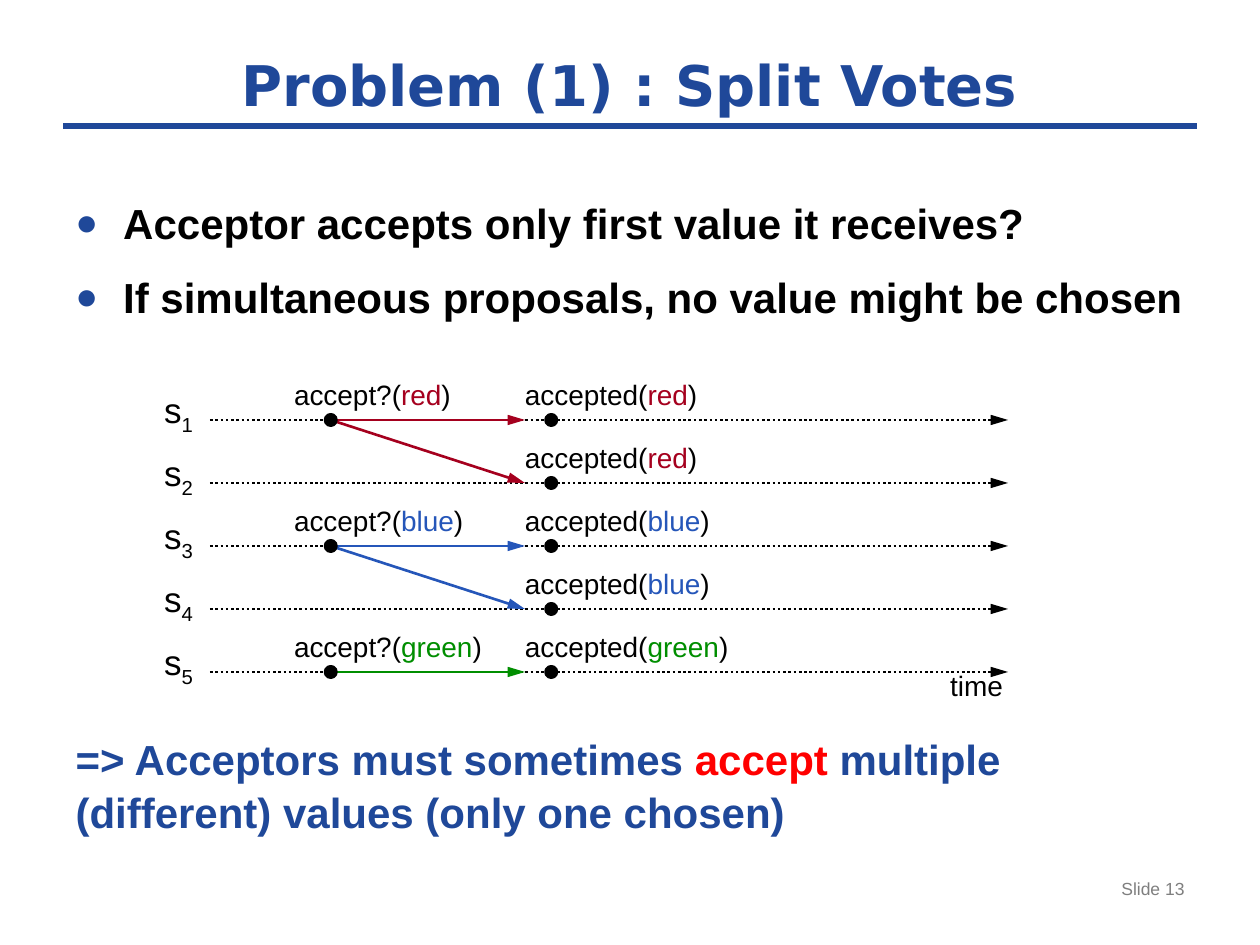
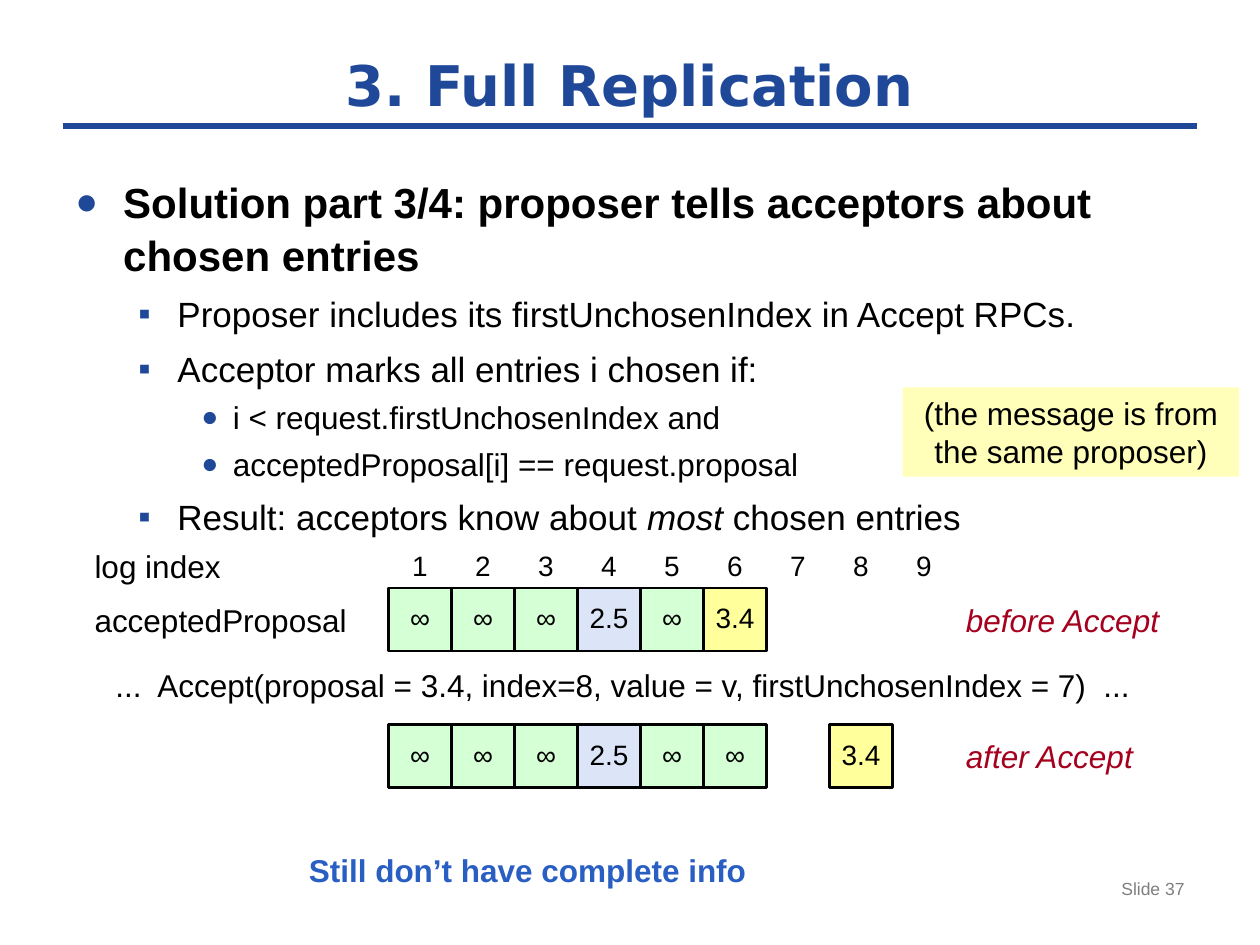
from lxml import etree
from pptx import Presentation
from pptx.dml.color import RGBColor
from pptx.enum.dml import MSO_LINE
from pptx.enum.shapes import MSO_CONNECTOR, MSO_SHAPE
from pptx.enum.text import MSO_ANCHOR, PP_ALIGN
from pptx.oxml.ns import qn
from pptx.util import Inches, Pt

LEFT, CENTER, RIGHT = PP_ALIGN.LEFT, PP_ALIGN.CENTER, PP_ALIGN.RIGHT
TOP, MIDDLE = MSO_ANCHOR.TOP, MSO_ANCHOR.MIDDLE
RECTANGLE, OVAL = MSO_SHAPE.RECTANGLE, MSO_SHAPE.OVAL
STRAIGHT, DOTTED = MSO_CONNECTOR.STRAIGHT, MSO_LINE.ROUND_DOT

# Grid of 120 columns and 90 rows, twelve to the inch
COLUMNS, ROWS = 120, 90
UNIT = Inches(10) / COLUMNS

COLORS = {
    "navy": "1F4899", "black": "000000", "gray": "7F7F7F", "alert": "FF0000",
    "red": "A5001E", "blue": "2556B9", "green": "008E00", "remark": "295EC2",
    "chosen": "D5FFD5", "older": "DCE5F8", "current": "FFFF9B", "note": "FFFFB9",
}

# Outline levels: left margin and hanging indent in inches, sizes in points
LEVELS = [
    {"margin": 0.38, "hang": 0.38, "before": 12, "bullet": "●", "share": 90, "size": 24, "bold": True},
    {"margin": 0.81, "hang": 0.31, "before": 6, "bullet": "▪", "share": 100, "size": 20, "bold": False},
    {"margin": 1.25, "hang": 0.25, "before": 4, "bullet": "●", "share": 90, "size": 18, "bold": False},
]


def rgb(name):
    return RGBColor.from_string(COLORS[name])


def grid(*values):
    return [round(value * UNIT) for value in values]


def write(paragraph, runs, size=16, color="black", font="Arial", bold=False,
          italic=False, align=LEFT, spacing=None):
    """Fill a paragraph with a string, or with (text, changes) runs."""
    paragraph.alignment = align
    if spacing is not None:
        paragraph.line_spacing = spacing
    if isinstance(runs, str):
        runs = [(runs, {})]
    for text, changes in runs:
        run = paragraph.add_run()
        run.text = text
        run.font.name = font
        run.font.size = Pt(size)
        run.font.bold = bold
        run.font.italic = changes.get("italic", italic)
        run.font.color.rgb = rgb(changes.get("color", color))
        if "baseline" in changes:
            run._r.get_or_add_rPr().set("baseline", str(changes["baseline"] * 1000))


def add_bullet(paragraph, level):
    properties = paragraph._p.get_or_add_pPr()
    properties.set("marL", str(Inches(level["margin"])))
    properties.set("indent", str(-Inches(level["hang"])))
    color = etree.SubElement(properties, qn("a:buClr"))
    etree.SubElement(color, qn("a:srgbClr"), val=COLORS["navy"])
    etree.SubElement(properties, qn("a:buSzPct"), val=str(level["share"] * 1000))
    etree.SubElement(properties, qn("a:buFont"), typeface="Arial")
    etree.SubElement(properties, qn("a:buChar"), char=level["bullet"])


class Deck:
    def __init__(self):
        self.presentation = Presentation()
        self.presentation.slide_width, self.presentation.slide_height = grid(COLUMNS, ROWS)
        self.slide = None

    def start_slide(self, title, number):
        self.slide = self.presentation.slides.add_slide(self.presentation.slide_layouts[6])
        self.line((6, 12), (114, 12), "navy", width=4)
        self.text(6, 4, 108, 8, title, anchor=MIDDLE, size=32, color="navy",
                  font="DejaVu Sans", bold=True, align=CENTER)
        self.text(86, 83.6, 26.8, 3, f"Slide {number}", size=10, color="gray", align=RIGHT)

    def frame(self, shape, anchor, margin=0):
        frame = shape.text_frame
        frame.word_wrap = True
        frame.vertical_anchor = anchor
        frame.margin_left = frame.margin_right = Inches(margin)
        frame.margin_top = frame.margin_bottom = Inches(margin / 2)
        return frame

    def text(self, column, row, width, height, runs, anchor=TOP, **style):
        box = self.slide.shapes.add_textbox(*grid(column, row, width, height))
        write(self.frame(box, anchor).paragraphs[0], runs, **style)

    def outline(self, row, height, items):
        """Bulleted text from (level, runs) items."""
        box = self.slide.shapes.add_textbox(*grid(6, row, 108, height))
        frame = self.frame(box, TOP, margin=0.1)
        for index, (depth, runs) in enumerate(items):
            level = LEVELS[depth]
            paragraph = frame.add_paragraph() if index else frame.paragraphs[0]
            paragraph.level = depth
            paragraph.space_before = Pt(level["before"])
            write(paragraph, runs, size=level["size"], bold=level["bold"], spacing=1.05)
            add_bullet(paragraph, level)

    def shape(self, kind, column, row, width, height, fill, border=None):
        shape = self.slide.shapes.add_shape(kind, *grid(column, row, width, height))
        shape.shadow.inherit = False
        shape.fill.solid()
        shape.fill.fore_color.rgb = rgb(fill)
        if border:
            shape.line.color.rgb = rgb("black")
            shape.line.width = Pt(border)
        else:
            shape.line.fill.background()
        return shape

    def box(self, column, row, width, height, text, fill, border=None, margin=0, **style):
        shape = self.shape(RECTANGLE, column, row, width, height, fill, border)
        write(self.frame(shape, MIDDLE, margin).paragraphs[0], text, align=CENTER, **style)

    def dot(self, column, row):
        self.shape(OVAL, column - 0.5, row - 0.5, 1, 1, "black", border=2)

    def line(self, start, end, color, width=1.5, arrow=False, dash=None):
        connector = self.slide.shapes.add_connector(STRAIGHT, *grid(*start, *end))
        connector.line.color.rgb = rgb(color)
        connector.line.width = Pt(width)
        if dash:
            connector.line.dash_style = dash
        if arrow:
            etree.SubElement(connector.line._get_or_add_ln(), qn("a:tailEnd"),
                             type="triangle", w="med", len="lg")
        etree.SubElement(connector._element.spPr, qn("a:effectLst"))


def split_votes(deck):
    deck.start_slide("Problem (1) : Split Votes", 13)
    deck.outline(18, 16, [
        (0, "Acceptor accepts only first value it receives?"),
        (0, "If simultaneous proposals, no value might be chosen"),
    ])

    # Time lines of the servers
    first_row, pitch = 40, 6
    send, receive, accepted = 31.5, 50, 52.5
    votes = ["red", "red", "blue", "blue", "green"]
    for index, vote in enumerate(votes):
        row = first_row + index * pitch
        deck.line((20, row), (96, row), "black", arrow=True, dash=DOTTED)
        deck.text(14, row - 3, 6, 4, [("s", {}), (str(index + 1), {"baseline": -25})],
                  size=20, align=CENTER)

    # Proposals and the votes they lead to
    for index, vote in enumerate(votes):
        row = first_row + index * pitch
        proposer_row = first_row + votes.index(vote) * pitch
        argument = [(vote, {"color": vote}), (")", {})]
        deck.line((send, proposer_row), (receive, row), vote, arrow=True)
        deck.text(50, row - 4, 24, 3.2, [("accepted(", {}), *argument])
        deck.dot(accepted, row)
        if row == proposer_row:
            deck.text(28, row - 4, 22, 3.2, [("accept?(", {}), *argument])
    for vote in dict.fromkeys(votes):
        deck.dot(send, first_row + votes.index(vote) * pitch)
    deck.text(89, 63.7, 8, 3.2, "time", align=CENTER)

    # Conclusion
    deck.text(7.2, 69.6, 105.6, 10,
              [("=> Acceptors must sometimes ", {}), ("accept", {"color": "alert"}),
               (" multiple (different) values (only one chosen)", {})],
              size=24, color="navy", bold=True, spacing=1.05)


def full_replication(deck):
    deck.start_slide("3. Full Replication", 37)
    deck.outline(16, 35, [
        (0, "Solution part 3/4: proposer tells acceptors about chosen entries"),
        (1, "Proposer includes its firstUnchosenIndex in Accept RPCs."),
        (1, "Acceptor marks all entries i chosen if:"),
        (2, "i < request.firstUnchosenIndex and"),
        (2, "acceptedProposal[i] == request.proposal"),
        (1, [("Result: acceptors know about ", {}), ("most", {"italic": True}),
             (" chosen entries", {})]),
    ])
    deck.box(86, 36.9, 32, 8.5, "(the message is from the same proposer)", "note",
             margin=0.1, size=18)

    # Log before and after the request; None leaves a gap
    first_column, cell = 37, 6
    fills = {"∞": "chosen", "2.5": "older", "3.4": "current"}
    logs = [
        (56, "before Accept", ["∞", "∞", "∞", "2.5", "∞", "3.4"]),
        (69, "after Accept", ["∞", "∞", "∞", "2.5", "∞", "∞", None, "3.4"]),
    ]
    for index in range(9):
        deck.text(first_column + index * cell, 52.2, cell, 3.2, str(index + 1), align=CENTER)
    for row, caption, entries in logs:
        for index, entry in enumerate(entries):
            if entry:
                deck.box(first_column + index * cell, row, cell, cell, entry,
                         fills[entry], border=1.5, spacing=Pt(17))
        deck.text(92, row + 1.2, 23, 3.6, caption, size=18, color="red", italic=True)

    # Row labels, request and remark
    deck.text(9, 52.1, 15, 3.6, "log index", size=18)
    deck.text(9, 57.2, 26, 3.6, "acceptedProposal", size=18)
    deck.text(11, 63.4, 103, 3.6,
              "...  Accept(proposal = 3.4, index=8, value = v, firstUnchosenIndex = 7)  ...",
              size=18)
    deck.text(28, 81.1, 44.5, 3.6, "Still don’t have complete info", size=18,
              color="remark", bold=True, align=CENTER)


def main():
    deck = Deck()
    split_votes(deck)
    full_replication(deck)
    deck.presentation.save("out.pptx")


if __name__ == "__main__":
    main()
